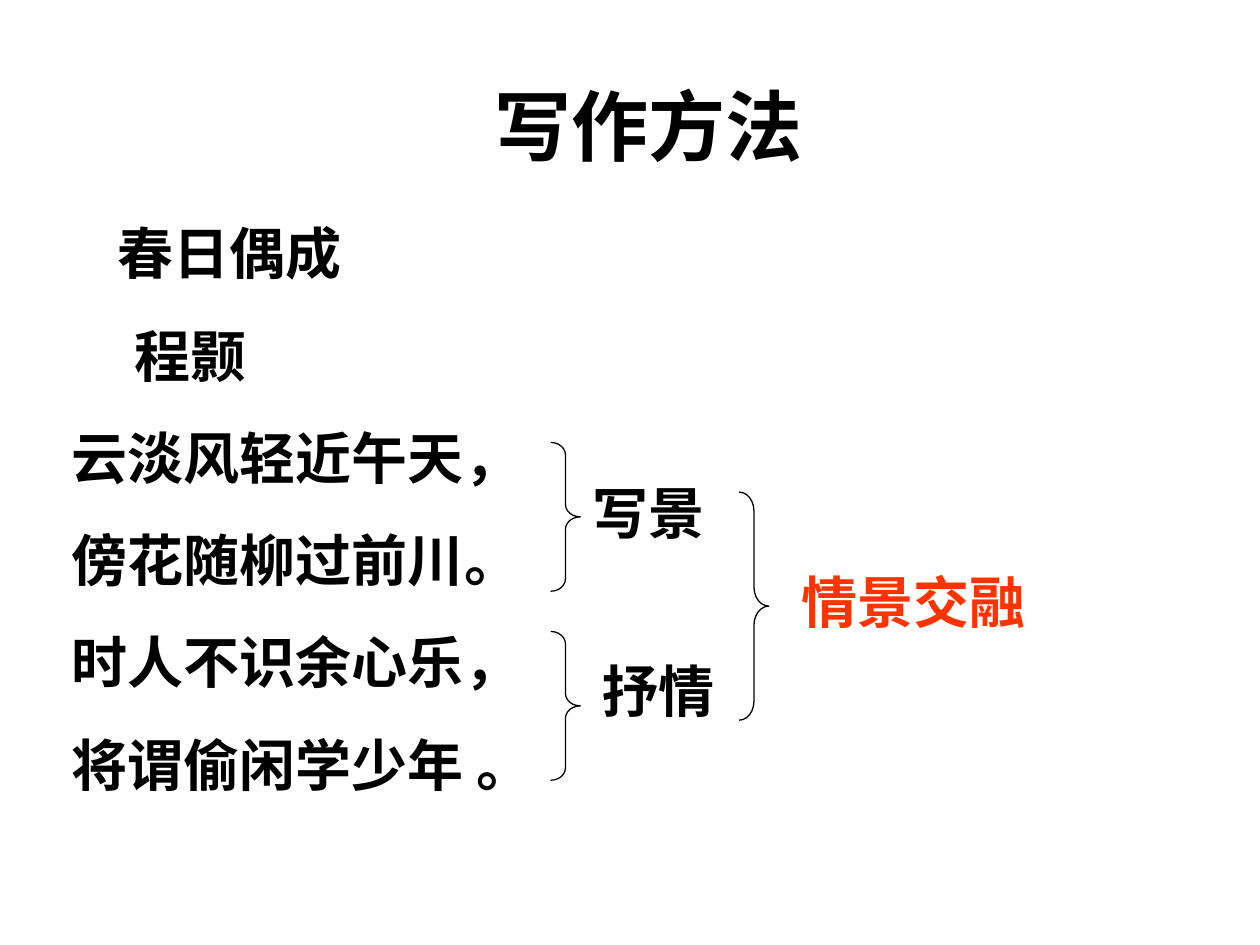
import pptx
import pptx.dml.color
import pptx.enum.shapes
import pptx.enum.text
import pptx.oxml.ns
import pptx.util
from lxml import etree

Cm = pptx.util.Cm
Pt = pptx.util.Pt
EAST_ASIAN_FONT = "Noto Sans CJK SC"


def color(hex_string):
    """Return the colour for a hex string."""
    return pptx.dml.color.RGBColor.from_string(hex_string)


def format_paragraph(paragraph, size, font_name, hex_string="000000"):
    """Make every run of a paragraph bold in the given font, size and colour."""
    for run in paragraph.runs:
        run.font.size = Pt(size)
        run.font.bold = True
        run.font.color.rgb = color(hex_string)
        run.font.name = font_name
        east_asian = etree.SubElement(run.font._element, pptx.oxml.ns.qn("a:ea"))
        east_asian.set("typeface", EAST_ASIAN_FONT)


def add_title(slide, text, left, top, width, height):
    """Place the slide title in its placeholder."""
    title = slide.shapes.title
    title.left, title.top, title.width, title.height = map(Cm, (left, top, width, height))
    frame = title.text_frame
    frame.text = text
    frame.auto_size = pptx.enum.text.MSO_AUTO_SIZE.NONE
    frame.vertical_anchor = pptx.enum.text.MSO_ANCHOR.MIDDLE
    paragraph = frame.paragraphs[0]
    paragraph.alignment = pptx.enum.text.PP_ALIGN.CENTER
    format_paragraph(paragraph, 44, "Times New Roman")


def add_text(slide, text, left, top, width, height):
    """Add a wrapping text box and return its text frame."""
    shape = slide.shapes.add_textbox(*map(Cm, (left, top, width, height)))
    frame = shape.text_frame
    frame.word_wrap = True
    frame.text = text
    return frame


def add_poem(slide, lines, left, top, width, height):
    """Add the poem, one indented paragraph for each line."""
    frame = add_text(slide, "\n".join(text for text, indent in lines), left, top, width, height)
    for index, (text, indent) in enumerate(lines):
        paragraph = frame.paragraphs[index]
        properties = paragraph._p.get_or_add_pPr()
        properties.set("marL", str(Cm(indent)))
        properties.set("indent", "0")
        paragraph.line_spacing = Pt(38.4 if index else 43.2)
        paragraph.space_before = Pt(20 if index else 0)
        format_paragraph(paragraph, 32, EAST_ASIAN_FONT)


def add_label(slide, text, left, top, width, hex_string="000000"):
    """Add a one-line label beside a brace."""
    paragraph = add_text(slide, text, left, top, width, 1.63).paragraphs[0]
    paragraph.line_spacing = Pt(38.4)
    format_paragraph(paragraph, 32, "Arial", hex_string)


def add_brace(slide, left, top, height, width=0.6):
    """Add a right brace whose curves are a twelfth of its height."""
    shape = slide.shapes.add_shape(
        pptx.enum.shapes.MSO_SHAPE.RIGHT_BRACE, *map(Cm, (left, top, width, height))
    )
    shape.adjustments[0] = height / 12 / width
    shape.shadow.inherit = False
    shape.fill.background()
    shape.line.color.rgb = color("000000")
    shape.line.width = Pt(0.75)


def add_analysis(slide, left, top):
    """Add the braces and labels that link the couplets to the conclusion."""
    add_brace(slide, left, top, 3)
    add_brace(slide, left, top + 3.81, 3)
    add_label(slide, "写景", left + 0.6, top + 0.6, 4)
    add_label(slide, "抒情", left + 0.8, top + 4.2, 4)
    add_brace(slide, left + 3.8, top + 1, 4.6)
    add_label(slide, "情景交融", left + 4.8, top + 2.4, 5.4, "FF3300")


def main():
    """Build the slide and save it."""
    presentation = pptx.Presentation()
    presentation.slide_width, presentation.slide_height = Cm(25.4), Cm(19.05)
    slide = presentation.slides.add_slide(presentation.slide_layouts[5])
    slide.background.fill.solid()
    slide.background.fill.fore_color.rgb = color("FFFFFF")
    verses = ["云淡风轻近午天，", "傍花随柳过前川。", "时人不识余心乐，", "将谓偷闲学少年 。"]
    lines = [("春日偶成", 1.42), ("程颢", 1.77)] + [(verse, 0.51) for verse in verses]
    add_title(slide, "写作方法", 2.29, 0.92, 21.59, 3.18)
    add_poem(slide, lines, 0.69, 4.12, 12.8, 12.1)
    add_analysis(slide, 11.1, 8.92)
    presentation.save("out.pptx")


if __name__ == "__main__":
    main()
